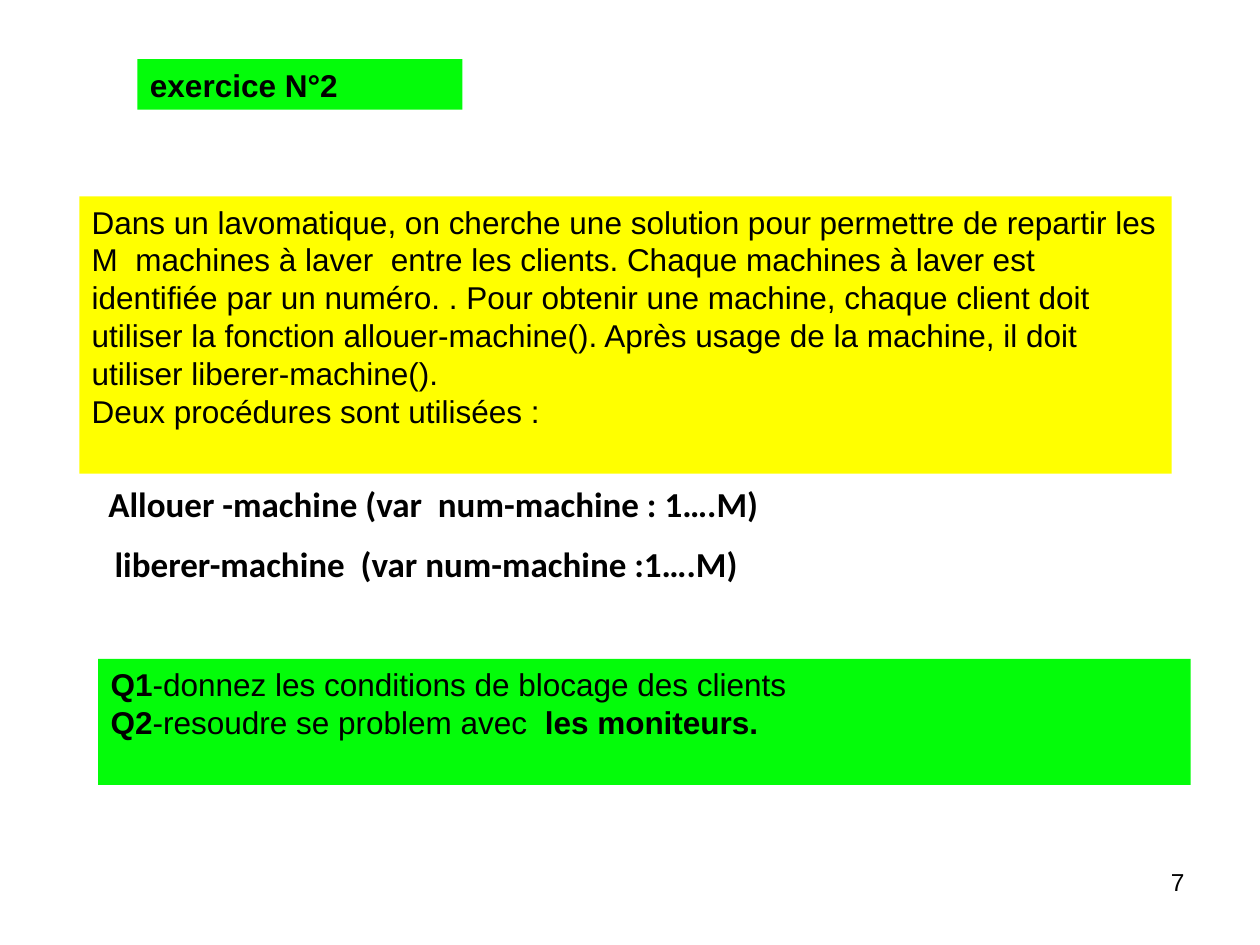
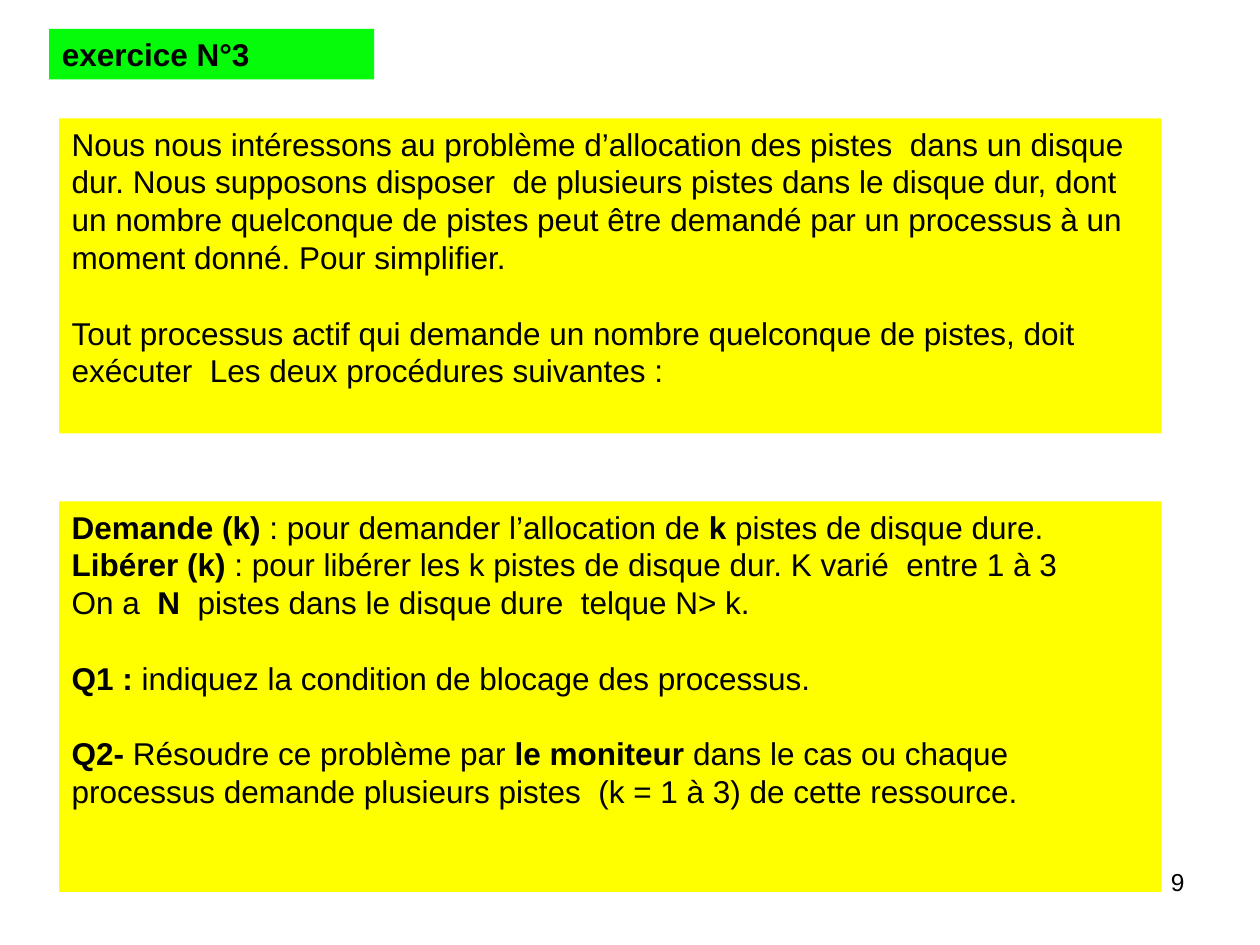
from dataclasses import dataclass

from pptx import Presentation
from pptx.dml.color import RGBColor
from pptx.enum import shapes, text
from pptx.util import Inches, Pt

COLORS = {"green": "04FC0A", "yellow": "FFFF00", "white": "FFFFFF", "black": "000000"}
BODY = {"name": "Arial", "size": Pt(18)}
PROCEDURE = {"name": "Calibri", "size": Pt(20)}
NUMBER = {"name": "Arial", "size": Pt(14)}
BODY_LINE = Pt(21.6)
TITLE_SIZE = (2.58, 0.4)


@dataclass(frozen=True)
class Line:
    """A paragraph; ** switches bold on and off."""
    words: str
    before: float = 0
    after: float = 0
    indent: float = 0


@dataclass(frozen=True)
class Panel:
    left: float
    top: float
    width: float
    height: float
    color: str
    lines: tuple[Line, ...]
    procedure: bool = False


@dataclass(frozen=True)
class Exercise:
    title: str
    title_at: tuple[float, float]
    number: int
    panels: tuple[Panel, ...]


GAP = BODY_LINE.pt  # one empty line

EXERCISES = (
    Exercise("exercice N°2", (1.09, 0.47), 7, (
        Panel(0.63, 1.56, 8.67, 2.2, "yellow", (
            Line("Dans un lavomatique, on cherche une solution pour permettre de repartir les "
                 "M  machines à laver  entre les clients. Chaque machines à laver est "
                 "identifiée par un numéro. . Pour obtenir une machine, chaque client doit "
                 "utiliser la fonction allouer-machine(). Après usage de la machine, il doit "
                 "utiliser liberer-machine()."),
            Line("Deux procédures sont utilisées :"),
        )),
        Panel(0.78, 3.83, 7.58, 0.86, "white", (
            Line("**Allouer -machine (var  num-machine : 1….M)**", after=10, indent=0.08),
            Line("**liberer-machine  (var num-machine :1….M)**", after=10, indent=0.13),
        ), procedure=True),
        Panel(0.78, 5.23, 8.67, 1, "green", (
            Line("**Q1**-donnez les conditions de blocage des clients"),
            Line("**Q2**-resoudre se problem avec  **les moniteurs.**"),
        )),
    )),
    Exercise("exercice N°3", (0.39, 0.23), 9, (
        Panel(0.47, 0.94, 8.75, 2.5, "yellow", (
            Line("Nous nous intéressons au problème d’allocation des pistes  dans un disque "
                 "dur. Nous supposons disposer  de plusieurs pistes dans le disque dur, dont "
                 "un nombre quelconque de pistes peut être demandé par un processus à un "
                 "moment donné. Pour simplifier."),
            Line("Tout processus actif qui demande un nombre quelconque de pistes, doit "
                 "exécuter  Les deux procédures suivantes :", before=GAP),
        )),
        Panel(0.47, 3.98, 8.75, 3.1, "yellow", (
            Line("**Demande (k)** : pour demander l’allocation de **k** pistes de disque dure."),
            Line("**Libérer (k)** : pour libérer les k pistes de disque dur. "
                 "K varié  entre 1 à 3"),
            Line("On a  **N**  pistes dans le disque dure  telque N> k."),
            Line("**Q1 :** indiquez la condition de blocage des processus.", before=GAP),
            Line("**Q2-** Résoudre ce problème par **le moniteur** dans le cas ou chaque "
                 "processus demande plusieurs pistes  (k = 1 à 3) de cette ressource.",
                 before=GAP),
        )),
    )),
)


def set_all(obj, values: dict) -> None:
    for name, value in values.items():
        setattr(obj, name, value)


def fill(shape, color: str) -> None:
    shape.fill.solid()
    shape.fill.fore_color.rgb = RGBColor.from_string(COLORS[color])


def set_frame(tf, anchor, inset: tuple[float, float] = (0.1, 0.05)) -> None:
    x, y = map(Inches, inset)
    set_all(tf, {"word_wrap": True, "auto_size": text.MSO_AUTO_SIZE.NONE,
                 "vertical_anchor": anchor, "margin_left": x, "margin_right": x,
                 "margin_top": y, "margin_bottom": y})


def write(p, words: str, font: dict, align=text.PP_ALIGN.LEFT) -> None:
    """Fill a paragraph, making every second part between ** marks bold."""
    p.alignment = align
    for i, part in enumerate(words.split("**")):
        if part:
            r = p.add_run()
            r.text = part
            set_all(r.font, {**font, "bold": i % 2 == 1})
            r.font.color.rgb = RGBColor.from_string(COLORS["black"])


def add_title(s, exercise: Exercise) -> None:
    title = s.shapes.title
    box = map(Inches, exercise.title_at + TITLE_SIZE)
    set_all(title, dict(zip(("left", "top", "width", "height"), box)))
    fill(title, "green")
    set_frame(title.text_frame, text.MSO_ANCHOR.MIDDLE)
    write(title.text_frame.paragraphs[0], f"**{exercise.title}**", BODY)


def add_number(s, number: int) -> None:
    box = s.shapes.add_textbox(Inches(7.17), Inches(6.83), Inches(2.33), Inches(0.52))
    set_frame(box.text_frame, text.MSO_ANCHOR.TOP)
    write(box.text_frame.paragraphs[0], str(number), NUMBER, text.PP_ALIGN.RIGHT)


def add_panel(s, panel: Panel) -> None:
    box = map(Inches, (panel.left, panel.top, panel.width, panel.height))
    sp = s.shapes.add_shape(shapes.MSO_SHAPE.RECTANGLE, *box)
    sp.shadow.inherit = False
    sp.line.fill.background()
    fill(sp, panel.color)
    tf = sp.text_frame
    set_frame(tf, text.MSO_ANCHOR.TOP, (0, 0) if panel.procedure else (0.1, 0.05))
    for i, line in enumerate(panel.lines):
        p = tf.add_paragraph() if i else tf.paragraphs[0]
        set_all(p, {"space_before": Pt(line.before), "space_after": Pt(line.after)})
        if not panel.procedure:
            p.line_spacing = BODY_LINE
        if line.indent:
            p._p.get_or_add_pPr().set("marL", str(Inches(line.indent)))
        write(p, line.words, PROCEDURE if panel.procedure else BODY)


def main() -> None:
    prs = Presentation()
    prs.slide_width, prs.slide_height = Inches(10), Inches(7.5)
    for exercise in EXERCISES:
        s = prs.slides.add_slide(prs.slide_layouts[5])
        add_title(s, exercise)
        add_number(s, exercise.number)
        for panel in exercise.panels:
            add_panel(s, panel)
    prs.save("out.pptx")


if __name__ == "__main__":
    main()
